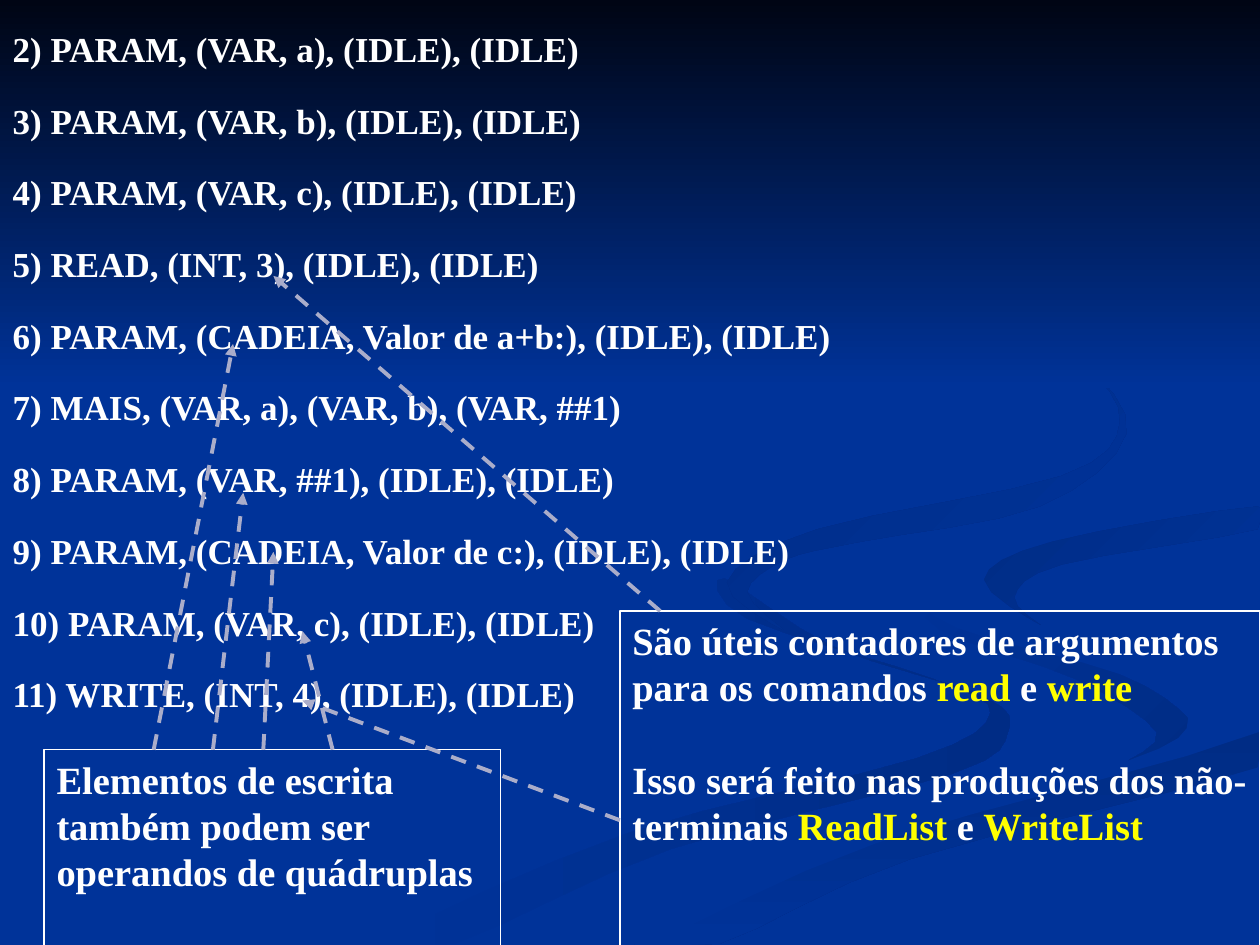
from lxml import etree
from pptx import Presentation
from pptx.dml.color import RGBColor
from pptx.enum.dml import MSO_LINE
from pptx.enum.shapes import MSO_CONNECTOR, MSO_SHAPE
from pptx.enum.text import MSO_ANCHOR, MSO_AUTO_SIZE, PP_ALIGN
from pptx.oxml.ns import qn
from pptx.util import Inches, Pt

RECTANGLE = MSO_SHAPE.RECTANGLE
STRAIGHT = MSO_CONNECTOR.STRAIGHT
DASH = MSO_LINE.DASH
TOP = MSO_ANCHOR.TOP
LEFT = PP_ALIGN.LEFT
NO_AUTOFIT = MSO_AUTO_SIZE.NONE

BLUE = RGBColor(0x00, 0x33, 0x99)
SHADE = RGBColor(0x00, 0x2C, 0x85)
NIGHT = RGBColor(0x00, 0x05, 0x14)
WHITE = RGBColor(0xFF, 0xFF, 0xFF)
YELLOW = RGBColor(0xFF, 0xFF, 0x00)
LAVENDER = RGBColor(0xAA, 0xAD, 0xCA)

FONT = "Times New Roman"
WIDTH, HEIGHT = 10, 7.5
CURVE_STEPS = 4

RIBBONS = [
    ([BLUE, SHADE], 0, [
        (7.81, 5.53), (6.61, 5.13), (5.75, 4.59), (5.93, 4.91), (7.41, 5.39), (7.86, 5.66),
        (7.27, 6.02), (4.99, 6.61), (3, 7.49), (3.61, 7.49), (5.32, 6.74), (7.56, 6.14),
        (8, 5.81)]),
    ([BLUE, SHADE], 45, [
        (9.43, 5.7), (8.88, 5.35), (7.58, 4.98), (7.24, 4.64), (7.46, 5), (8.54, 5.39),
        (9.18, 5.81), (8.94, 6.05), (9.37, 5.86)]),
    ([SHADE, BLUE], 90, [
        (5.03, 7.49), (5.71, 7.49), (7.22, 6.82), (9.98, 6.09), (9.98, 5.81), (7.64, 6.47),
        (6.3, 6.93)]),
    ([BLUE], 0, [
        (7.25, 4.64), (7.59, 4.98), (8.89, 5.35), (9.43, 5.7), (8.92, 6.05), (6.63, 6.68),
        (4.77, 7.49), (5.19, 7.47), (6.96, 6.69), (9.99, 5.81), (9.99, 5.38), (8.32, 4.98),
        (7.81, 4.63), (8.35, 4.3), (9.99, 4.02), (9.99, 3.87), (7.7, 4.27)]),
    ([SHADE, BLUE], 45, [
        (7.81, 4.6), (8.26, 4.96), (8.05, 4.74), (8.43, 4.48), (9.98, 4.2), (9.98, 4.02),
        (8.35, 4.3)]),
    ([SHADE, BLUE], 45, [
        (6.83, 4.3), (8.25, 4.02), (8.94, 3.44), (8.54, 2.83), (7.62, 2.33), (8.55, 2.85),
        (8.89, 3.35), (8.42, 3.78), (6.49, 4.2), (5.77, 4.62), (6.22, 5), (5.93, 4.7),
        (6.24, 4.44)]),
]

QUADRUPLES = [
    "2) PARAM, (VAR, a), (IDLE), (IDLE)",
    "3) PARAM, (VAR, b), (IDLE), (IDLE)",
    "4) PARAM, (VAR, c), (IDLE), (IDLE)",
    "5) READ, (INT, 3), (IDLE), (IDLE)",
    "6) PARAM, (CADEIA, Valor de a+b:), (IDLE), (IDLE)",
    "7) MAIS, (VAR, a), (VAR, b), (VAR, ##1)",
    "8) PARAM, (VAR, ##1), (IDLE), (IDLE)",
    "9) PARAM, (CADEIA, Valor de c:), (IDLE), (IDLE)",
    "10) PARAM, (VAR, c), (IDLE), (IDLE)",
    "11) WRITE, (INT, 4), (IDLE), (IDLE)",
]

WRITE_NOTE = [[("Elementos de escrita também podem ser operandos de quádruplas", WHITE)]]
COUNTER_NOTE = [
    [("São úteis contadores de argumentos para os comandos ", WHITE),
     ("read", YELLOW), (" e ", WHITE), ("write", YELLOW)],
    [("Isso será feito nas produções dos não-terminais ", WHITE),
     ("ReadList", YELLOW), (" e ", WHITE), ("WriteList", YELLOW)],
]

WRITE_ARROWS = [(1.22, 5.95, 1.85, 2.73), (1.69, 5.95, 1.93, 3.91),
                (2.64, 5.95, 2.4, 5.01), (2.09, 5.95, 2.17, 4.38)]
COUNTER_ARROWS = [(4.92, 6.51, 2.4, 5.56), (5.24, 4.85, 2.17, 2.19)]


def set_attributes(target, values):
    for name, value in values.items():
        setattr(target, name, value)


def paint(shape, colors, angle):
    shape.shadow.inherit = False
    shape.line.fill.background()
    if len(colors) == 1:
        shape.fill.solid()
        shape.fill.fore_color.rgb = colors[0]
        return
    shape.fill.gradient()
    shape.fill.gradient_angle = -angle % 360
    for stop, color in zip(shape.fill.gradient_stops, colors):
        stop.color.rgb = color


def blend(before, start, end, after, t):
    return (2 * start + (end - before) * t
            + (2 * before - 5 * start + 4 * end - after) * t ** 2
            + (3 * start - before - 3 * end + after) * t ** 3) / 2


def smooth_outline(points):
    outline = []
    for index in range(len(points)):
        nearby = [points[(index + offset) % len(points)] for offset in (-1, 0, 1, 2)]
        for step in range(CURVE_STEPS):
            x, y = [blend(*values, step / CURVE_STEPS) for values in zip(*nearby)]
            outline.append((Inches(min(x, WIDTH)), Inches(min(y, HEIGHT))))
    return outline


def add_ribbon(slide, colors, angle, points):
    outline = smooth_outline(points)
    builder = slide.shapes.build_freeform(*outline[0])
    builder.add_line_segments(outline[1:], close=True)
    paint(builder.convert_to_shape(), colors, angle)


def add_text(paragraph, text, size, color):
    run = paragraph.add_run()
    run.text = text
    set_attributes(run.font, {"name": FONT, "size": Pt(size), "bold": True})
    run.font.color.rgb = color


def fill_quadruples(slide, body):
    slide.shapes._spTree.append(body._element)
    set_attributes(body, {"left": 0, "top": 0, "width": Inches(WIDTH),
                          "height": Inches(HEIGHT)})
    frame = body.text_frame
    set_attributes(frame, {"vertical_anchor": TOP, "auto_size": NO_AUTOFIT})
    for index, text in enumerate(QUADRUPLES):
        paragraph = frame.add_paragraph() if index else frame.paragraphs[0]
        properties = paragraph._p.get_or_add_pPr()
        properties.set("marL", "0")
        properties.set("indent", "0")
        etree.SubElement(properties, qn("a:buNone"))
        set_attributes(paragraph, {"line_spacing": 1.5, "space_before": Pt(5 if index else 0)})
        add_text(paragraph, text, 20, WHITE)


def add_note(slide, left, top, width, height, paragraphs):
    shape = slide.shapes.add_shape(
        RECTANGLE, Inches(left), Inches(top), Inches(width), Inches(height))
    shape.shadow.inherit = False
    shape.fill.background()
    shape.line.color.rgb = WHITE
    shape.line.width = Pt(0.75)
    frame = shape.text_frame
    set_attributes(frame, {"word_wrap": True, "vertical_anchor": TOP})
    for index, runs in enumerate(paragraphs):
        paragraph = frame.add_paragraph() if index else frame.paragraphs[0]
        set_attributes(paragraph, {"alignment": LEFT, "space_before": Pt(26.4 if index else 0)})
        for text, color in runs:
            add_text(paragraph, text, 22, color)


def add_arrow(slide, *ends):
    connector = slide.shapes.add_connector(STRAIGHT, *[Inches(value) for value in ends])
    set_attributes(connector.line, {"width": Pt(2.25), "dash_style": DASH})
    connector.line.color.rgb = LAVENDER
    etree.SubElement(connector.line._get_or_add_ln(), qn("a:tailEnd"), type="triangle")
    etree.SubElement(connector._element.spPr, qn("a:effectLst"))


def main():
    presentation = Presentation()
    set_attributes(presentation, {"slide_width": Inches(WIDTH), "slide_height": Inches(HEIGHT)})
    slide = presentation.slides.add_slide(presentation.slide_layouts[1])
    slide.background.fill.solid()
    slide.background.fill.fore_color.rgb = BLUE
    title = slide.shapes.title._element
    title.getparent().remove(title)
    for colors, angle, points in RIBBONS:
        add_ribbon(slide, colors, angle, points)
    sky = slide.shapes.add_shape(RECTANGLE, 0, 0, Inches(WIDTH), Inches(3.08))
    paint(sky, [NIGHT, BLUE], 90)
    fill_quadruples(slide, slide.placeholders[1])
    add_note(slide, 0.35, 5.95, 3.62, 1.57, WRITE_NOTE)
    for ends in WRITE_ARROWS:
        add_arrow(slide, *ends)
    add_note(slide, 4.92, 4.85, 5.08, 2.67, COUNTER_NOTE)
    for ends in COUNTER_ARROWS:
        add_arrow(slide, *ends)
    presentation.save("out.pptx")


if __name__ == "__main__":
    main()
